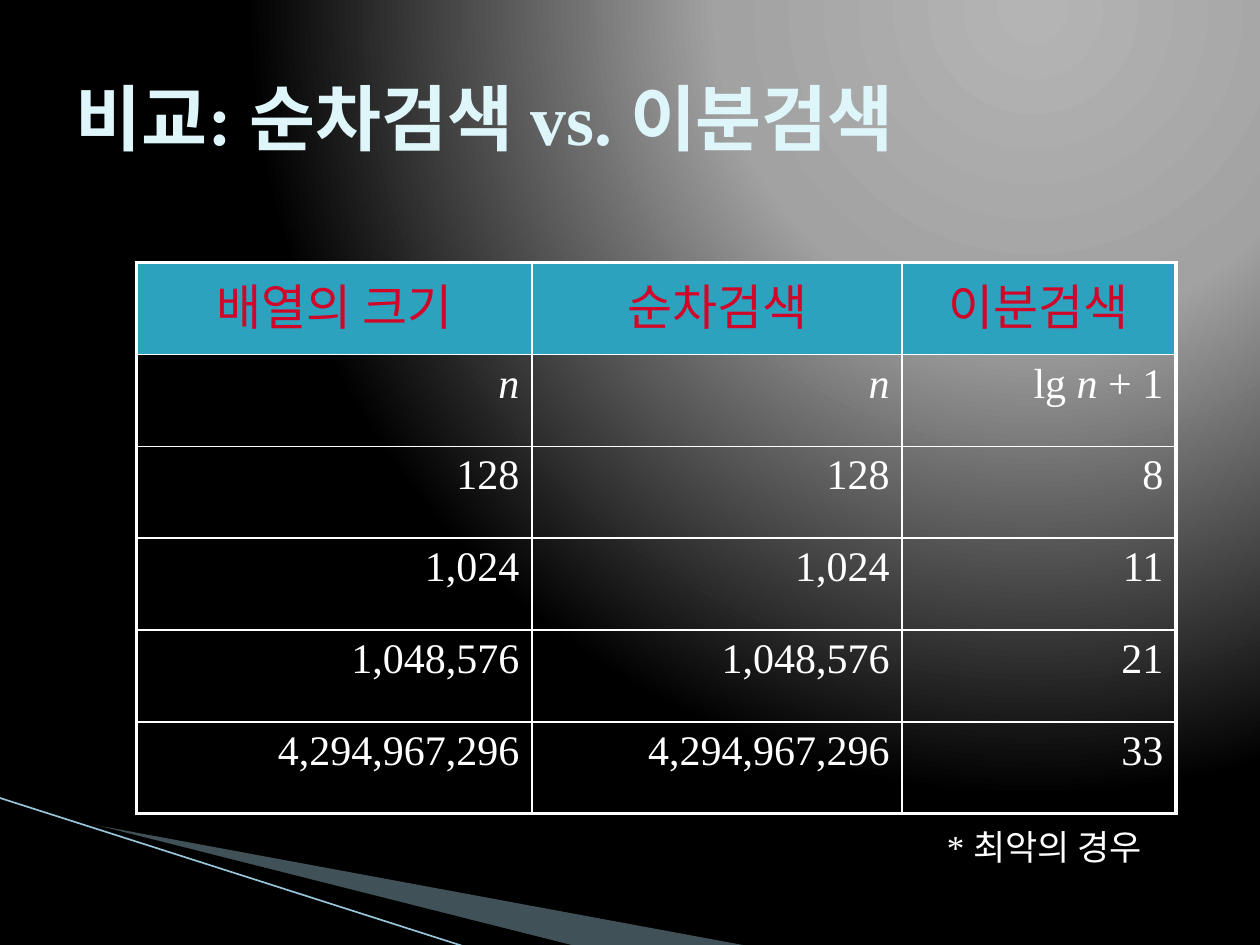
import pptx
import pptx.util
import pptx.dml.color
import pptx.enum.text
import pptx.enum.shapes
import pptx.oxml
import pptx.oxml.ns

Pt = pptx.util.Pt
RGB = pptx.dml.color.RGBColor
Align = pptx.enum.text.PP_ALIGN
Anchor = pptx.enum.text.MSO_ANCHOR
Fit = pptx.enum.text.MSO_AUTO_SIZE
qn = pptx.oxml.ns.qn

# Content
TITLE = "비교: 순차검색 vs. 이분검색"
HEAD = ["배열의 크기", "순차검색", "이분검색"]
VAR = [("n", True)]
FORMULA = [("lg ", False), ("n", True), (" + 1", False)]
SIZES = [("128", "8"), ("1,024", "11"), ("1,048,576", "21"),
         ("4,294,967,296", "33")]
NOTE = "* 최악의 경우"

# Look
FONT = "Times New Roman"
PALE = RGB(0xDE, 0xF5, 0xFA)
RED = RGB(0xD1, 0x07, 0x29)
TEAL = RGB(0x2D, 0xA2, 0xBF)
WHITE = RGB(0xFF, 0xFF, 0xFF)
BLACK = RGB(0, 0, 0)
MIST = RGB(0xA0, 0xCB, 0xDC)
STEEL = RGB(0x97, 0xC5, 0xD8)
STOPS = [(0, RGB(0xB4, 0xB4, 0xB4)), (40, RGB(0xA2, 0xA2, 0xA2)), (100, BLACK)]
THICK, THIN = 2.25, 1
COLS = [226, 211.5, 156.5]
ROW = 52.5
WEDGES = [
    (MIST, 40, [(39.6, 468.7), (428.4, 540.7), (328.3, 540.7), (39.6, 468)]),
    (BLACK, 100, [(38.2, 467.3), (329, 540.7), (267.8, 541.4), (38.9, 468)]),
]
LOOKS = {
    "title": {"size": Pt(41), "bold": True},
    "head": {"size": Pt(28), "bold": False},
    "cell": {"size": Pt(24), "bold": False},
    "note": {"size": Pt(20)},
}


def add_xml(parent, text):
    node = pptx.oxml.parse_xml(
        text.replace(">", " " + pptx.oxml.ns.nsdecls("a") + ">", 1))
    parent.append(node)
    return node


def add_run(para, text, look, color, italic=False):
    run = para.add_run()
    run.text = text
    for key, val in {"name": FONT, "italic": italic, **LOOKS[look]}.items():
        setattr(run.font, key, val)
    run.font.color.rgb = color


def paint_back(slide):
    slide.background.fill.solid()
    solid = next(slide.element.iter(qn("a:solidFill")))
    stops = "".join(f'<a:gs pos="{at * 1000}"><a:srgbClr val="{c}"/></a:gs>'
                    for at, c in STOPS)
    grad = add_xml(solid.getparent(),
                   f'<a:gradFill rotWithShape="1"><a:gsLst>{stops}</a:gsLst>'
                   '<a:path path="circle"><a:fillToRect l="65000" t="0" r="0" '
                   'b="98000"/></a:path></a:gradFill>')
    solid.getparent().replace(solid, grad)


def add_wedge(slide, color, alpha, points):
    spots = [(Pt(x), Pt(y)) for x, y in points]
    build = slide.shapes.build_freeform(*spots[0], scale=1.0)
    build.add_line_segments(spots[1:], close=True)
    shape = build.convert_to_shape()
    shape.shadow.inherit = False
    shape.line.fill.background()
    shape.fill.solid()
    shape.fill.fore_color.rgb = color
    if alpha < 100:
        tint = next(shape.element.spPr.iter(qn("a:srgbClr")))
        add_xml(tint, f'<a:alpha val="{alpha * 1000}"/>'.replace("/>", "></a:alpha>"))


def add_edges(cell, row, col, rows, cols):
    outer = {"L": col == 0, "R": col == cols - 1,
             "T": row == 0, "B": row == rows - 1}
    for side, edge in outer.items():
        add_xml(cell._tc.get_or_add_tcPr(),
                f'<a:ln{side} w="{Pt(THICK if edge else THIN)}"><a:solidFill>'
                f'<a:srgbClr val="{WHITE}"/></a:solidFill></a:ln{side}>')


def add_grid(slide):
    rows = [[[(t, False)] for t in HEAD], [VAR, VAR, FORMULA]]
    rows += [[[(t, False)] for t in (n, n, steps)] for n, steps in SIZES]
    table = slide.shapes.add_table(len(rows), len(COLS), Pt(78), Pt(150),
                                   Pt(sum(COLS)), Pt(ROW * len(rows))).table
    table.first_row = table.horz_banding = False
    for col, wide in zip(table.columns, COLS):
        col.width = Pt(wide)
    for r, line in enumerate(rows):
        table.rows[r].height = Pt(ROW)
        for c, runs in enumerate(line):
            cell = table.cell(r, c)
            add_edges(cell, r, c, len(rows), len(COLS))
            para = cell.text_frame.paragraphs[0]
            para.alignment = Align.RIGHT if r else Align.CENTER
            add_xml(para._p.get_or_add_pPr(),
                    '<a:spcBef><a:spcPct val="20000"/></a:spcBef>')
            for text, slant in runs:
                add_run(para, text, "cell" if r else "head",
                        WHITE if r else RED, slant)
            if r:
                cell.fill.background()
            else:
                cell.fill.solid()
                cell.fill.fore_color.rgb = TEAL


def main():
    deck = pptx.Presentation()
    deck.slide_width, deck.slide_height = Pt(720), Pt(540)
    slide = deck.slides.add_slide(deck.slide_layouts[5])
    paint_back(slide)

    # Corner wedges and line
    for wedge in WEDGES:
        add_wedge(slide, *wedge)
    line = slide.shapes.add_connector(pptx.enum.shapes.MSO_CONNECTOR.STRAIGHT,
                                      Pt(-0.7), Pt(455.8), Pt(267), Pt(541.4))
    line.line.color.rgb = STEEL
    line.line.width = Pt(0.95)
    add_xml(line._element.spPr, "<a:effectLst></a:effectLst>")

    # Title, in front of the wedges
    title = slide.shapes.title
    place = {"left": 36, "top": 21.6, "width": 648, "height": 90}
    for key, val in place.items():
        setattr(title, key, Pt(val))
    frame = title.text_frame
    frame.auto_size = Fit.NONE
    frame.vertical_anchor = Anchor.MIDDLE
    frame.paragraphs[0].alignment = Align.LEFT
    add_run(frame.paragraphs[0], TITLE, "title", PALE)
    title.element.getparent().append(title.element)

    add_grid(slide)

    # Footnote
    frame = slide.shapes.add_textbox(Pt(534), Pt(468), Pt(135), Pt(31)).text_frame
    frame.word_wrap = False
    frame.auto_size = Fit.SHAPE_TO_FIT_TEXT
    add_run(frame.paragraphs[0], NOTE, "note", WHITE)

    deck.save("out.pptx")


if __name__ == "__main__":
    main()
